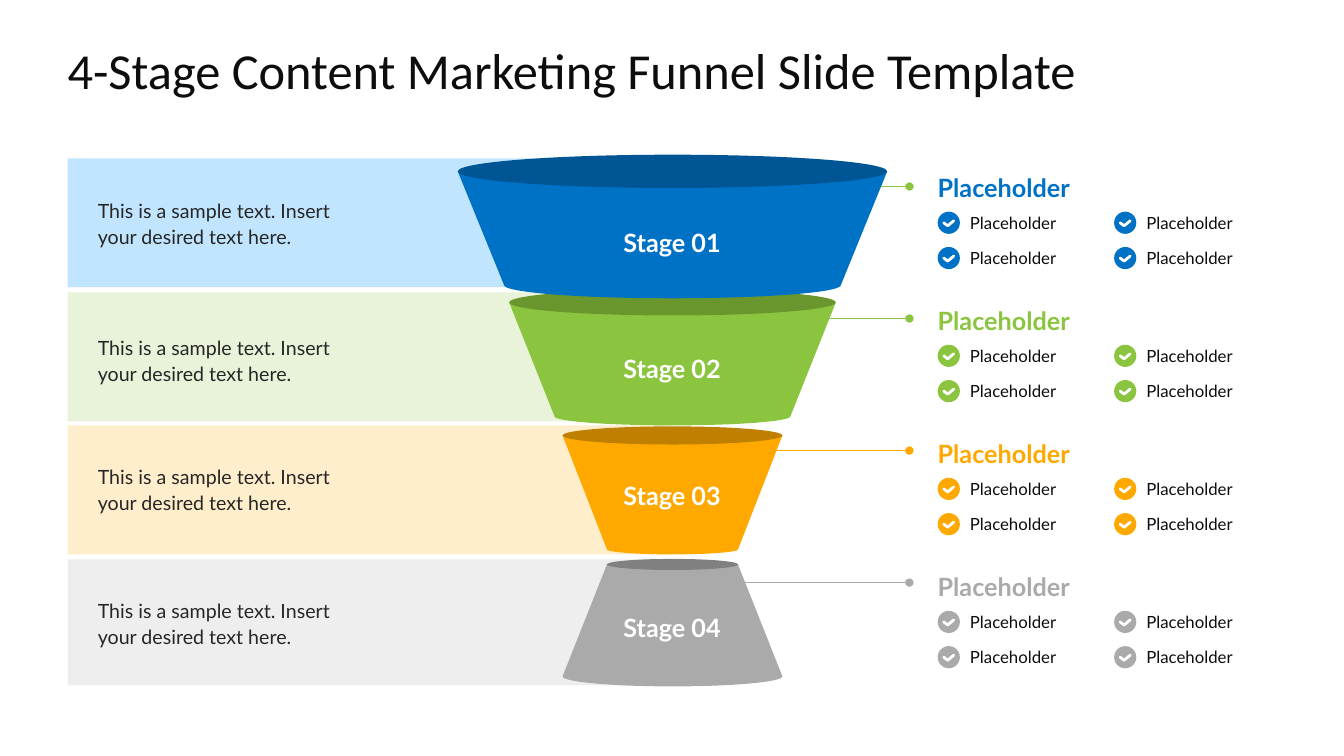
"""Build a four-stage content marketing funnel slide."""
from math import cos, pi, sin

from lxml.etree import SubElement
from pptx import Presentation
from pptx.dml.color import RGBColor
from pptx.enum.shapes import MSO_CONNECTOR, MSO_SHAPE
from pptx.enum.text import MSO_ANCHOR, PP_ALIGN
from pptx.oxml.ns import qn
from pptx.util import Inches, Pt

BLUE, NAVY, SKY = RGBColor(0, 114, 198), RGBColor(0, 86, 148), RGBColor(193, 229, 255)
GREEN, MOSS, MINT = RGBColor(139, 197, 63), RGBColor(105, 150, 45), RGBColor(232, 243, 217)
AMBER, BROWN, CREAM = RGBColor(255, 169, 0), RGBColor(191, 127, 0), RGBColor(255, 238, 204)
GRAY, SLATE, PALE = RGBColor(170, 170, 170), RGBColor(128, 128, 128), RGBColor(238, 238, 238)
INK, TEXT, WHITE = RGBColor(13, 13, 13), RGBColor(38, 38, 38), RGBColor(255, 255, 255)

TITLE = "4-Stage Content Marketing Funnel Slide Template"
SAMPLE = "This is a sample text. Insert your desired text here."
HEAD = "Placeholder"
ITEMS = [["Placeholder", "Placeholder"], ["Placeholder", "Placeholder"]]
STAGES = [
    dict(name="Stage 01", main=BLUE, dark=NAVY, light=SKY, wire=GREEN, start=8.55,
         band=(1.57, 5.81, 1.28), note=1.96, label=2.21,
         top=1.7, base=2.83, wide=2.13, foot=1.67, lid=0.33, sag=0.13),
    dict(name="Stage 02", main=GREEN, dark=MOSS, light=MINT, wire=GREEN, start=8.11,
         band=(2.9, 5.98, 1.28), note=3.32, label=3.46,
         top=3.0, base=4.13, wide=1.62, foot=1.17, lid=0.26, sag=0.09),
    dict(name="Stage 03", main=AMBER, dark=BROWN, light=CREAM, wire=AMBER, start=7.49,
         band=(4.22, 5.98, 1.28), note=4.6, label=4.72,
         top=4.32, base=5.45, wide=1.09, foot=0.65, lid=0.18, sag=0.05),
    dict(name="Stage 04", main=GRAY, dark=SLATE, light=PALE, wire=GRAY, start=6.74,
         band=(5.55, 5.98, 1.25), note=5.93, label=6.02,
         top=5.6, base=6.71, wide=1.09, foot=0.65, lid=0.11, sag=0.1),
]
STAGES[3].update(wide=0.65, foot=1.09)
LEFT, MID, LIST, STEP = 0.67, 6.67, 9.3, 1.32
TICK = [(0.16, 0.09), (0.1, 0.14), (0.06, 0.11)]
FLAT = dict(margin_left=0, margin_right=0, margin_top=0, margin_bottom=0)


def apply(item, form):
    """Set each attribute named in the format dict."""
    for key, val in form.items():
        setattr(item, key, val)


def write(shape, text, size, color, frame={}, para={}, bold=False, face="Lato"):
    """Write one formatted paragraph into a shape."""
    body = shape.text_frame
    body.text = text
    line = body.paragraphs[0]
    apply(body, dict(word_wrap=True, vertical_anchor=MSO_ANCHOR.MIDDLE) | frame)
    apply(line, para)
    font = line.runs[0].font
    apply(font, dict(name=face, size=Pt(size), bold=bold))
    font.color.rgb = color


def add_text(shapes, box, *args, **form):
    """Add a text box at a place given in inches."""
    write(shapes.add_textbox(*map(Inches, box)), *args, **form)


def paint(shape, color):
    """Fill a shape flat, with no line or shadow."""
    shape.shadow.inherit = False
    shape.fill.solid()
    shape.fill.fore_color.rgb = color
    shape.line.fill.background()


def add_form(shapes, kind, box, color):
    """Add a flat preset shape."""
    paint(shapes.add_shape(kind, *map(Inches, box)), color)


def trace(shapes, points, close):
    """Draw a freeform through points given in inches."""
    spots = [(Inches(x), Inches(y)) for x, y in points]
    pen = shapes.build_freeform(*spots[0])
    pen.add_line_segments(spots[1:], close=close)
    return pen.convert_to_shape()


def add_wire(shapes, start, y, color):
    """Add a leader line with round ends."""
    wire = shapes.add_connector(MSO_CONNECTOR.STRAIGHT, *map(Inches, (start, y, 9.02, y)))
    wire.line.color.rgb = color
    wire.line.width = Pt(0.75)
    props = wire.element.spPr
    for tag in ("a:headEnd", "a:tailEnd"):
        SubElement(props.find(qn("a:ln")), qn(tag), type="oval")
    SubElement(props, qn("a:effectLst"))


def add_check(shapes, x, y, color):
    """Add a disc with a white tick."""
    add_form(shapes, MSO_SHAPE.OVAL, (x, y, 0.22, 0.22), color)
    tick = trace(shapes, [(x + dx, y + dy) for dx, dy in TICK], False)
    tick.shadow.inherit = False
    tick.fill.background()
    tick.line.color.rgb = WHITE
    tick.line.width = Pt(2)
    edge = tick.element.spPr.find(qn("a:ln"))
    edge.set("cap", "rnd")
    SubElement(edge, qn("a:round"))


def add_list(shapes, y, color):
    """Add a heading above a grid of checked items."""
    add_text(shapes, (LIST, y - 0.42, 2.45, 0.3), HEAD, 18, color, bold=True,
             frame=FLAT | dict(vertical_anchor=MSO_ANCHOR.TOP), para=dict(line_spacing=1.1))
    for row, items in enumerate(ITEMS):
        for col, item in enumerate(items):
            x, top = LIST + 1.75 * col, y + 0.35 * row
            add_text(shapes, (x + 0.32, top + 0.02, 1.29, 0.18), item, 12, INK, frame=FLAT)
            add_check(shapes, x, top, color)


def add_cone(shapes, part):
    """Add a funnel body with a curved foot, and its lid."""
    top, base, wide, foot, lid = (part[key] for key in ("top", "base", "wide", "foot", "lid"))
    turns = [pi * n / 40 for n in range(41)]
    curve = [(MID + foot * cos(t), base + part["sag"] * sin(t)) for t in turns]
    paint(trace(shapes, [(MID - wide, top), (MID + wide, top)] + curve, True), part["main"])
    add_form(shapes, MSO_SHAPE.OVAL, (MID - wide, top - lid / 2, 2 * wide, lid), part["dark"])


def main():
    """Compose and save the slide."""
    deck = Presentation()
    apply(deck, dict(slide_width=Inches(13.33), slide_height=Inches(7.5)))
    slide = deck.slides.add_slide(deck.slide_layouts[5])
    shapes = slide.shapes
    title = shapes.title
    apply(title, dict(left=Inches(LEFT), top=Inches(0.3), width=Inches(12), height=Inches(0.78)))
    write(title, TITLE, 36, INK, frame=FLAT, para=dict(alignment=PP_ALIGN.LEFT), face="Calibri")
    for row, part in enumerate(STAGES):
        add_wire(shapes, part["start"], 1.85 + 1.31 * row, part["wire"])
        y, width, height = part["band"]
        add_form(shapes, MSO_SHAPE.RECTANGLE, (LEFT, y, width, height), part["light"])
    for part in reversed(STAGES):
        add_cone(shapes.add_group_shape().shapes, part)
    for row, part in enumerate(STAGES):
        add_text(shapes, (5.77, part["label"], 1.79, 0.4), part["name"], 18, WHITE, bold=True,
                 para=dict(alignment=PP_ALIGN.CENTER))
        add_text(shapes, (0.97, part["note"], 2.4, 0.5), SAMPLE, 14, TEXT,
                 frame=FLAT, para=dict(line_spacing=1.1))
        add_list(shapes.add_group_shape().shapes, 2.1 + STEP * row, part["main"])
    deck.save("out.pptx")


if __name__ == "__main__":
    main()
